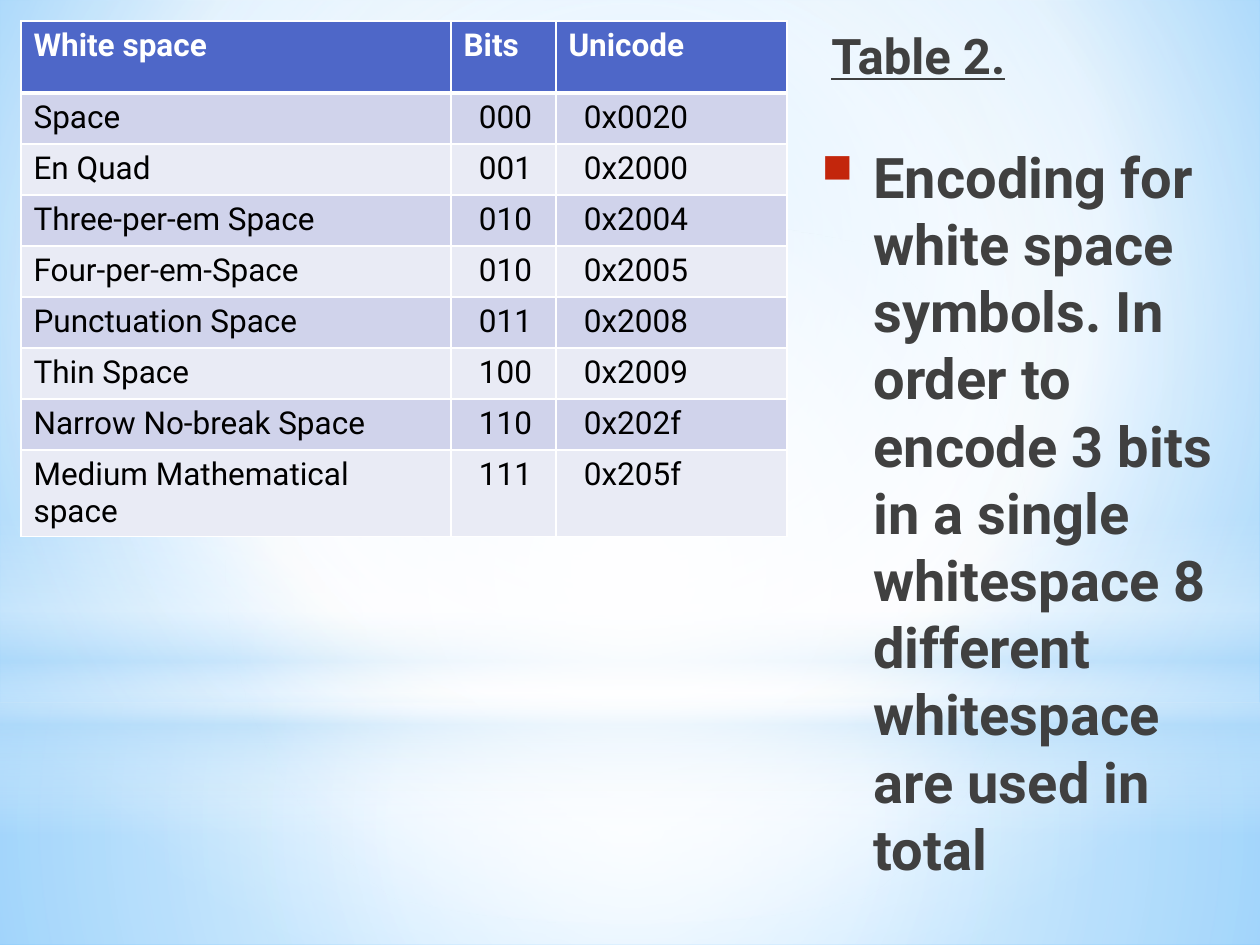
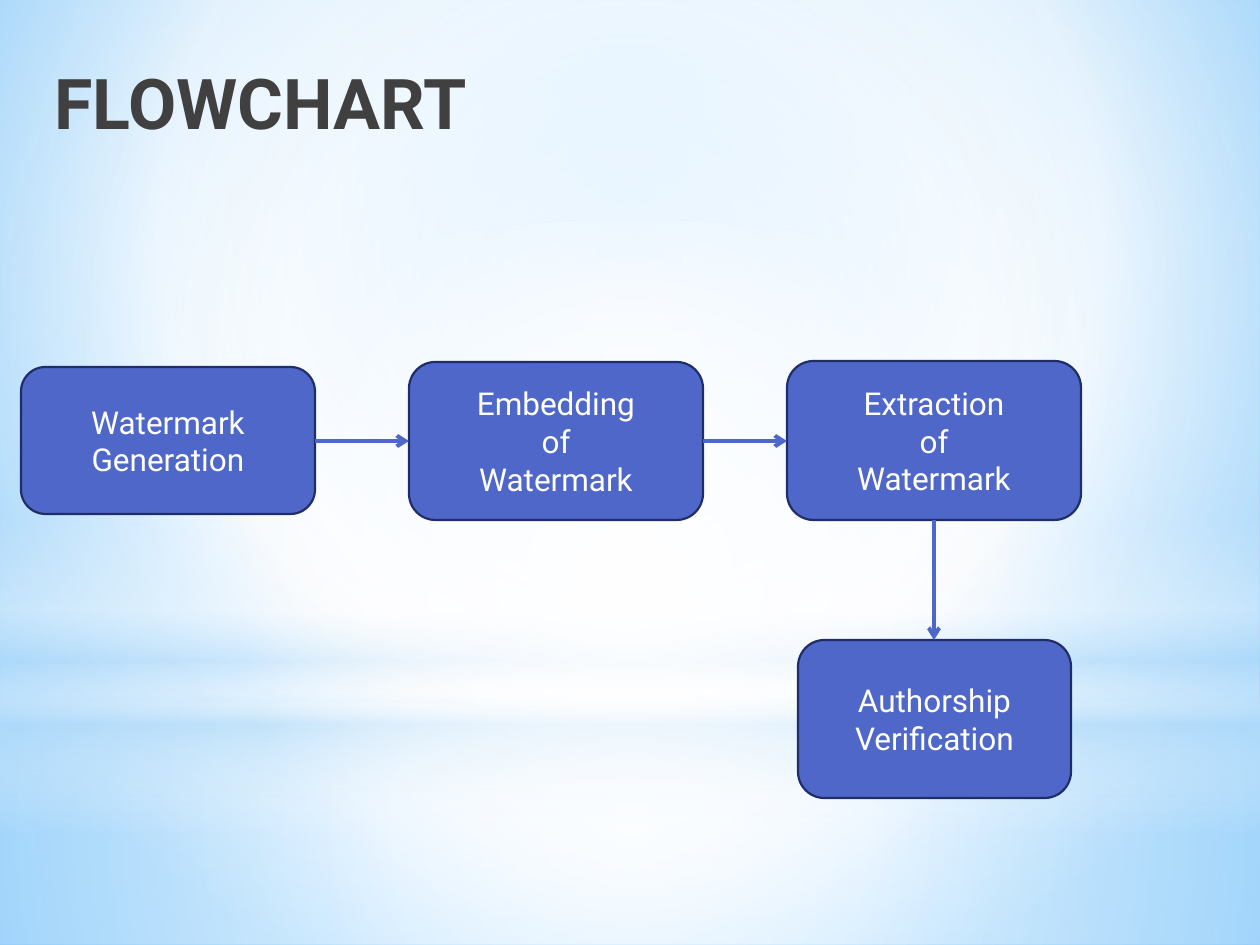
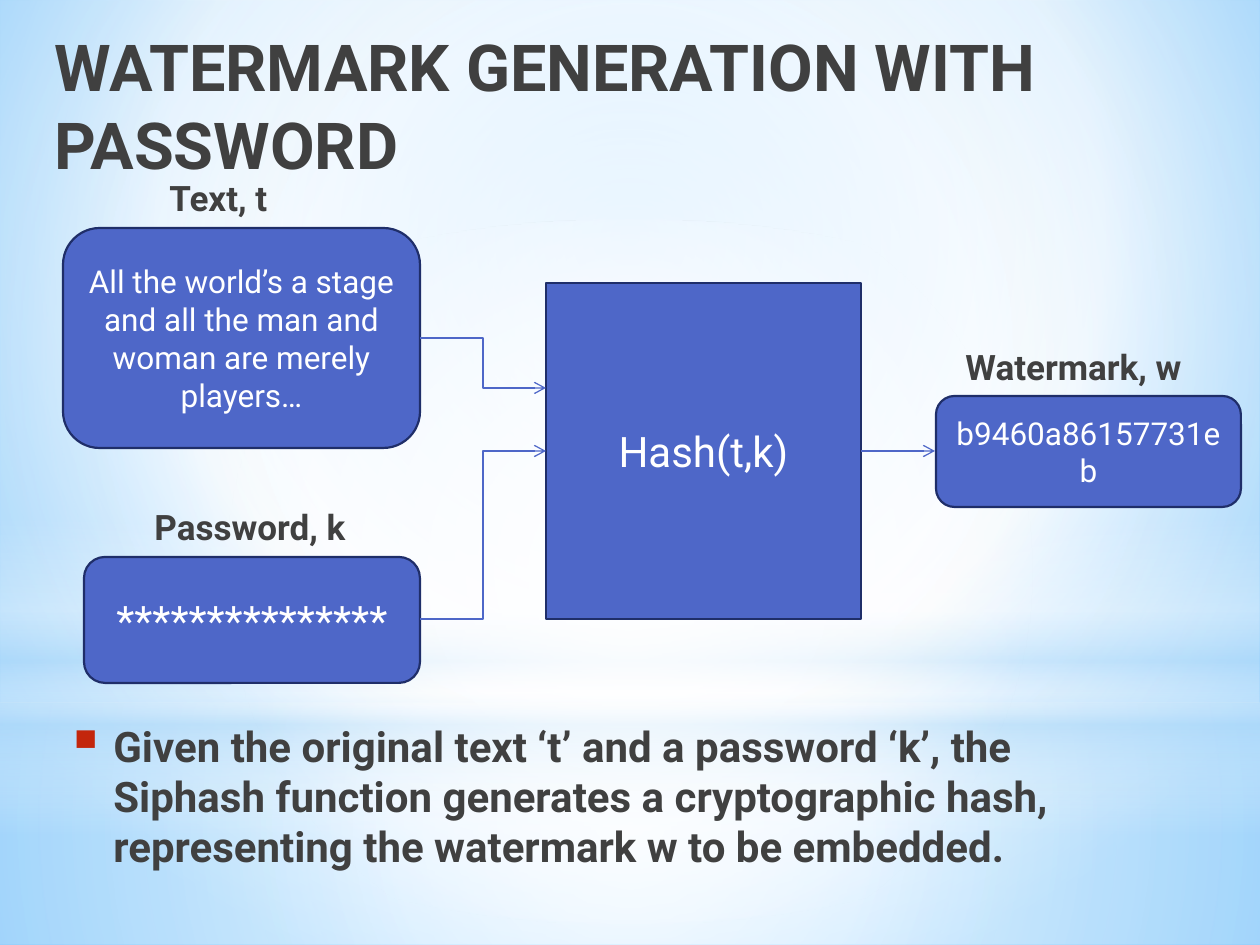
"""Build three slides on whitespace encoding and text watermarking."""
from lxml import etree
from pptx import Presentation
from pptx import util as u
from pptx.dml.color import RGBColor
from pptx.enum import shapes, text
from pptx.oxml.ns import qn

PX = 914400 / 126
W, H = 1260, 945
C = {
    "white": "FFFFFF", "black": "000000", "ink": "404040", "blue": "4E67C8",
    "navy": "1F2E69", "red": "C3260C", "band": "D0D3EB", "pale": "E9EBF5",
    "sky": "B4DCFA", "inner": "9ED5FF", "outer": "5BB9FF",
}
BODY = {"name": "Roboto", "size": u.Pt(18), "bold": False}
HEAVY = {**BODY, "bold": True}
KIND = shapes.MSO_SHAPE
CENTRE = (50, 50, 50, 50)
PAGE = [(0, "inner", 100), (60, "white", 100), (100, "outer", 100)]
GLOWS = [
    (KIND.RECTANGLE, (0, 703, W, 242), CENTRE,
     [(0, "white", 91), (37, "white", 76), (100, "sky", 79)]),
    (KIND.RECTANGLE, (0, 0, W, 703), CENTRE,
     [(0, "white", 89), (48, "white", 62), (100, "sky", 79)]),
    (KIND.RECTANGLE, (0, 519, W, 315), None,
     [(0, "white", 0), (29, "white", 30), (45, "sky", 40),
      (55, "white", 26), (65, "sky", 60), (100, "white", 0)]),
    (KIND.OVAL, (0, 220, W, 703), CENTRE,
     [(0, "white", 100), (56, "white", 0)]),
]
SPACES = [
    ("White space", "Bits", "Unicode"),
    ("Space", "000", "0x0020"),
    ("En Quad", "001", "0x2000"),
    ("Three-per-em Space", "010", "0x2004"),
    ("Four-per-em-Space", "010", "0x2005"),
    ("Punctuation Space", "011", "0x2008"),
    ("Thin Space", "100", "0x2009"),
    ("Narrow No-break Space", "110", "0x202f"),
    ("Medium Mathematical space", "111", "0x205f"),
]


def px(*vals):
    """Turn px lengths into a list of EMU."""
    return [u.Emu(round(v * PX)) for v in vals]


def rgb(key):
    """Look up a named colour."""
    return RGBColor.from_string(C[key])


def sub(parent, tag, **attrs):
    """Append a drawing element with attributes."""
    el = etree.SubElement(parent, qn(f"a:{tag}"))
    for k, v in attrs.items():
        el.set(k, str(v))
    return el


def gradient(fill, owner, stops, focus):
    """Fill with a circular gradient, or a vertical one without a focus."""
    fill.gradient()
    grad = owner.find(f".//{qn('a:gradFill')}")
    for child in list(grad):
        grad.remove(child)
    lst = sub(grad, "gsLst")
    for pos, key, alpha in stops:
        clr = sub(sub(lst, "gs", pos=pos * 1000), "srgbClr", val=C[key])
        sub(clr, "alpha", val=alpha * 1000)
    if focus:
        rect = dict(zip("ltrb", (v * 1000 for v in focus)))
        sub(sub(grad, "path", path="circle"), "fillToRect", **rect)
    else:
        sub(grad, "lin", ang=5400000, scaled=0)


def new_slide(prs):
    """Add a blank slide with the shared sky backdrop."""
    s = prs.slides.add_slide(prs.slide_layouts[6])
    gradient(s.background.fill, s.element, PAGE, (20, 10, 20, 60))
    for kind, area, focus, stops in GLOWS:
        sp = s.shapes.add_shape(kind, *px(*area))
        sp.shadow.inherit = False
        sp.line.fill.background()
        gradient(sp.fill, sp.element, stops, focus)
    return s


def write(tf, words, key, fmt, align=None):
    """Write one paragraph per line of words in one format."""
    tf.text = words
    for p in tf.paragraphs:
        p.alignment = align
        for r in p.runs:
            r.font.color.rgb = rgb(key)
            for k, v in fmt.items():
                setattr(r.font, k, v)


def add_text(s, area, words, size, indent=0, bullet=False, **extra):
    """Add bold dark text, indented or bulleted on request."""
    tf = s.shapes.add_textbox(*px(*area)).text_frame
    tf.word_wrap = True
    write(tf, words, "ink", {**HEAVY, "size": u.Pt(size), **extra})
    p = tf.paragraphs[0]
    p.space_after = u.Pt(3)
    pr = p._p.get_or_add_pPr()
    pr.set("marL", str(px(indent)[0]))
    if bullet:
        pr.set("indent", str(px(-indent)[0]))
        sub(sub(pr, "buClr"), "srgbClr", val=C["red"])
        sub(pr, "buSzPct", val=130000)
        sub(pr, "buChar", char="▪")


def add_box(s, area, words, size=18, kind=KIND.ROUNDED_RECTANGLE):
    """Add a blue box with centred white text."""
    sp = s.shapes.add_shape(kind, *px(*area))
    sp.shadow.inherit = False
    sp.fill.solid()
    sp.fill.fore_color.rgb = rgb("blue")
    sp.line.color.rgb = rgb("navy")
    sp.line.width = u.Pt(1.25)
    tf = sp.text_frame
    tf.word_wrap = True
    tf.vertical_anchor = text.MSO_ANCHOR.MIDDLE
    write(tf, words, "white", {**BODY, "size": u.Pt(size)}, text.PP_ALIGN.CENTER)


def add_arrow(s, ends, width, kind=shapes.MSO_CONNECTOR.STRAIGHT):
    """Add a connector with an open arrowhead at its end."""
    cx = s.shapes.add_connector(kind, *px(*ends))
    cx.line.color.rgb = rgb("blue")
    cx.line.width = u.Pt(width)
    sub(cx.line._get_or_add_ln(), "tailEnd", type="arrow")
    sub(cx._element.spPr, "effectLst")


def add_border(cell, top, bottom):
    """Give a cell white borders, with top and bottom widths in points."""
    pr = cell._tc.get_or_add_tcPr()
    for side, width in zip("LRTB", (1, 1, top, bottom)):
        ln = sub(pr, f"ln{side}", w=u.Pt(width))
        sub(sub(ln, "solidFill"), "srgbClr", val=C["white"])


def add_grid(s, area, cols, head, rows):
    """Add a banded table whose first row is the header."""
    tbl = s.shapes.add_table(len(rows), len(cols), *px(*area)).table
    for col, width in zip(tbl.columns, px(*cols)):
        col.width = width
    step = (area[3] - head) // (len(rows) - 1)
    for i, row in enumerate(rows):
        tbl.rows[i].height = px(step if i else head)[0]
        for j, words in enumerate(row):
            cell = tbl.cell(i, j)
            add_border(cell, 3 if i == 1 else 1, 1 if i else 3)
            cell.fill.solid()
            cell.fill.fore_color.rgb = rgb(("pale", "band")[i % 2] if i else "blue")
            if i and j:
                cell.margin_left = px(28)[0]
            write(cell.text_frame, words, "black" if i else "white", BODY if i else HEAVY)


def encoding_slide(prs):
    """Table of white space symbols and their bits."""
    s = new_slide(prs)
    add_grid(s, (21, 21, 766, 480), (430, 105, 231), 72, SPACES)
    add_text(s, (798, 136, 462, 903),
             "Encoding for white space symbols. In order to encode 3 bits in a single "
             "whitespace 8 different whitespace are used in total", 32, 63, True)
    add_text(s, (819, 19, 275, 94), "Table 2.", 28, underline=True)


def flowchart_slide(prs):
    """Four steps joined by arrows."""
    s = new_slide(prs)
    add_text(s, (42, 53, 1113, 150), "FLOWCHART", 40)
    for area, words in (
        ((21, 367, 294, 147), "Watermark\nGeneration"),
        ((409, 362, 294, 158), "Embedding\nof\nWatermark"),
        ((787, 361, 294, 159), "Extraction\nof\nWatermark"),
        ((798, 640, 273, 158), "Authorship\nVerification"),
    ):
        add_box(s, area, words)
    for ends in ((315, 441, 409, 441), (703, 441, 787, 441), (934, 520, 934, 640)):
        add_arrow(s, ends, 2.25)


def generation_slide(prs):
    """Text and password hashed into a watermark."""
    s = new_slide(prs)
    add_box(s, (63, 228, 357, 220),
            "All the world’s a stage and all the man and woman are merely players…")
    add_box(s, (84, 557, 336, 126), "*" * 15, 24)
    add_box(s, (546, 283, 315, 336), "Hash(t,k)", 24, KIND.RECTANGLE)
    add_box(s, (936, 396, 305, 111), "b9460a86157731eb")
    for area, words, indent in (
        ((106, 170, 271, 58), "Text, t", 51),
        ((116, 499, 271, 58), "Password, k", 26),
        ((936, 339, 287, 58), "Watermark, w", 17),
    ):
        add_text(s, area, words, 20, indent)
    for ends in ((420, 619, 546, 451), (420, 338, 546, 388)):
        add_arrow(s, ends, 0.75, shapes.MSO_CONNECTOR.ELBOW)
    add_arrow(s, (861, 451, 935, 451), 0.75)
    add_text(s, (42, 21, 1113, 150), "WATERMARK GENERATION WITH PASSWORD", 37)
    add_text(s, (53, 714, 1113, 237),
             "Given the original text ‘t’ and a password ‘k’, the Siphash function "
             "generates a cryptographic hash, representing the watermark w to be embedded.",
             24, 48, True)


def main():
    """Build and save the slides."""
    prs = Presentation()
    prs.slide_width, prs.slide_height = px(W, H)
    for build in (encoding_slide, flowchart_slide, generation_slide):
        build(prs)
    prs.save("out.pptx")


if __name__ == "__main__":
    main()
